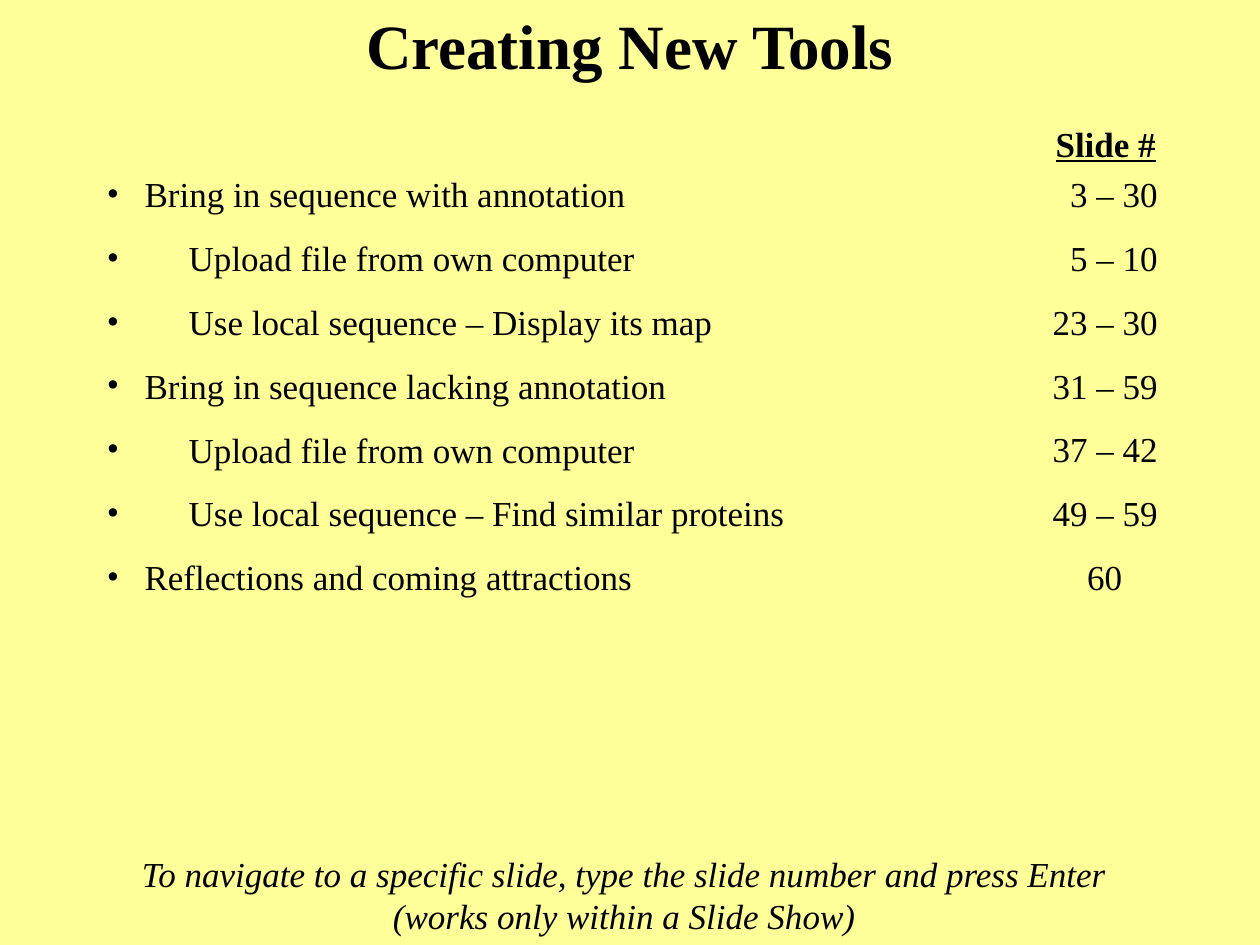
from dataclasses import dataclass
from lxml.etree import SubElement
from pptx import Presentation
from pptx.dml.color import RGBColor as RGB
from pptx.enum.shapes import MSO_SHAPE as Shape
from pptx.enum.text import MSO_ANCHOR as Anchor, MSO_AUTO_SIZE as AutoSize, PP_ALIGN as Align
from pptx.oxml.ns import qn
from pptx.util import Cm, Pt

TITLE = "Creating New Tools"
HEADING = "Slide #"
TOPICS = [
    (0, "Bring in sequence with annotation", "3 – 30"),
    (1, "Upload file from own computer", "5 – 10"),
    (1, "Use local sequence – Display its map", "23 – 30"),
    (0, "Bring in sequence lacking annotation", "31 – 59"),
    (1, "Upload file from own computer", "37 – 42"),
    (1, "Use local sequence – Find similar proteins", "49 – 59"),
    (0, "Reflections and coming attractions", "60"),
]
HINT = ("To navigate to a specific slide, type the slide number and press Enter "
        "(works only within a Slide Show)")


@dataclass(frozen=True)
class Theme:
    font: str = "Times New Roman"
    ink: RGB = RGB(0, 0, 0)
    paper: RGB = RGB(0xFF, 0xFF, 0x99)
    title_size: int = 36
    text_size: int = 20
    leading: float = 1.2
    gap: float = 12.5


THEME = Theme()
INDENTS = (Cm(0.76), Cm(1.65))
LIST_TOP, LIST_HEIGHT = Cm(3.35), Cm(8.84)


def place(s, left, top, width, height):
    s.left, s.top, s.width, s.height = left, top, width, height
    tf = s.text_frame
    tf.word_wrap = True
    tf.auto_size = AutoSize.NONE
    tf.vertical_anchor = Anchor.TOP
    return tf


def paint(s):
    s.fill.solid()
    s.fill.fore_color.rgb = THEME.paper


def write(tf, index, text, align, size=THEME.text_size, bold=False, italic=False, underline=False):
    p = tf.add_paragraph() if index else tf.paragraphs[0]
    p.alignment = align
    p.line_spacing = Pt(size * THEME.leading)
    p.space_before = Pt(THEME.gap if index else 0)
    r = p.add_run()
    r.text = text
    f = r.font
    f.name, f.size = THEME.font, Pt(size)
    f.bold, f.italic, f.underline = bold, italic, underline
    f.color.rgb = THEME.ink
    return p


def add_bullet(p, indent):
    pPr = p._p.get_or_add_pPr()
    pPr.set("marL", str(indent))
    pPr.set("indent", str(-indent))
    SubElement(pPr, qn("a:buFont"), typeface=THEME.font)
    SubElement(pPr, qn("a:buChar"), char="•")


def main():
    prs = Presentation()
    prs.slide_width, prs.slide_height = Cm(25.4), Cm(19.05)
    slide = prs.slides.add_slide(prs.slide_layouts[1])
    paint(slide.background)
    title, body = slide.placeholders

    tf = place(title, 0, 0, prs.slide_width, Cm(1.78))
    paint(title)
    write(tf, 0, TITLE, Align.CENTER, size=THEME.title_size, bold=True)

    topics = place(body, Cm(1.9), LIST_TOP, Cm(19.05), LIST_HEIGHT)
    box = slide.shapes.add_textbox(0, 0, 0, 0)
    numbers = place(box, Cm(20.95), LIST_TOP, Cm(2.64), LIST_HEIGHT)
    for i, (level, topic, pages) in enumerate(TOPICS):
        add_bullet(write(topics, i, topic, Align.LEFT), INDENTS[level])
        write(numbers, i, pages, Align.RIGHT if "–" in pages else Align.CENTER)

    box = slide.shapes.add_textbox(0, 0, 0, 0)
    tf = place(box, Cm(21.03), Cm(2.34), Cm(2.74), Cm(1.11))
    write(tf, 0, HEADING, Align.LEFT, bold=True, underline=True)

    s = slide.shapes.add_shape(Shape.RECTANGLE, 0, 0, 0, 0)
    s.shadow.inherit = False
    s.line.fill.background()
    paint(s)
    tf = place(s, Cm(2.11), Cm(17.07), Cm(20.95), Cm(1.95))
    write(tf, 0, HINT, Align.CENTER, italic=True)

    prs.save("out.pptx")


if __name__ == "__main__":
    main()
